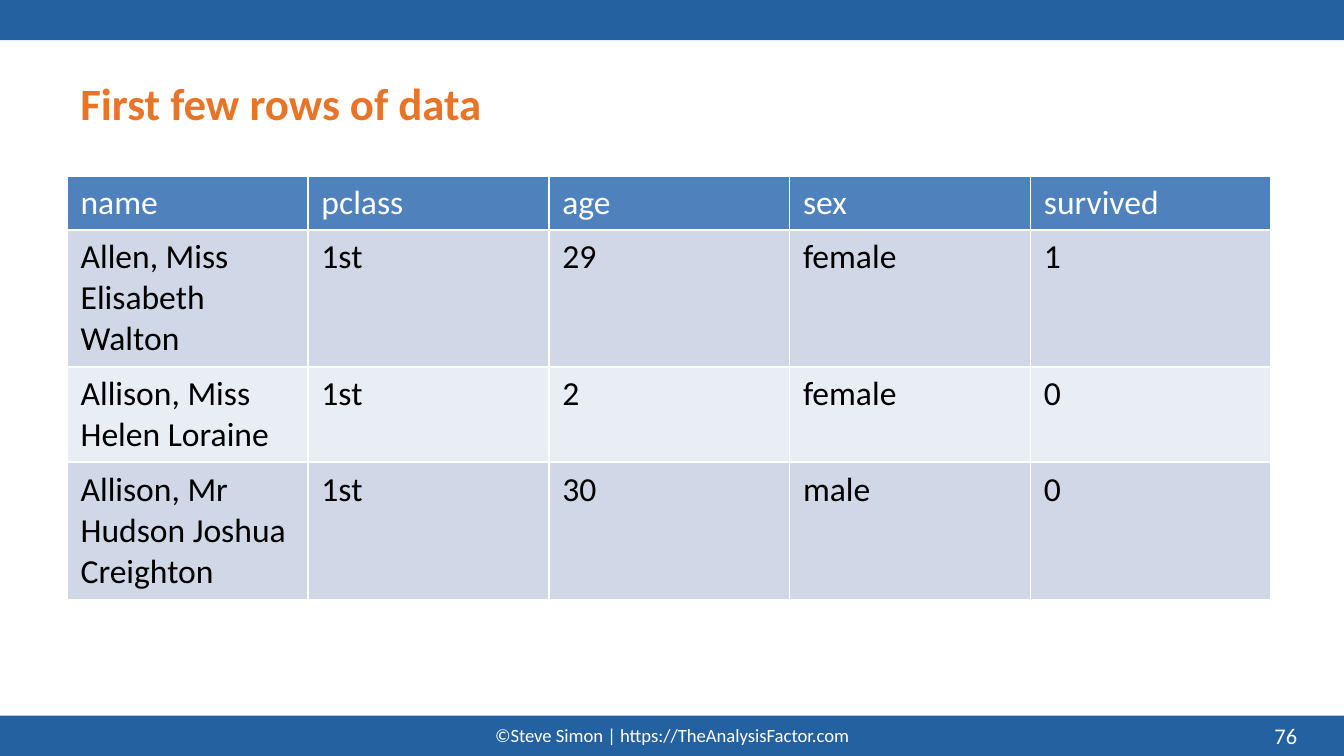
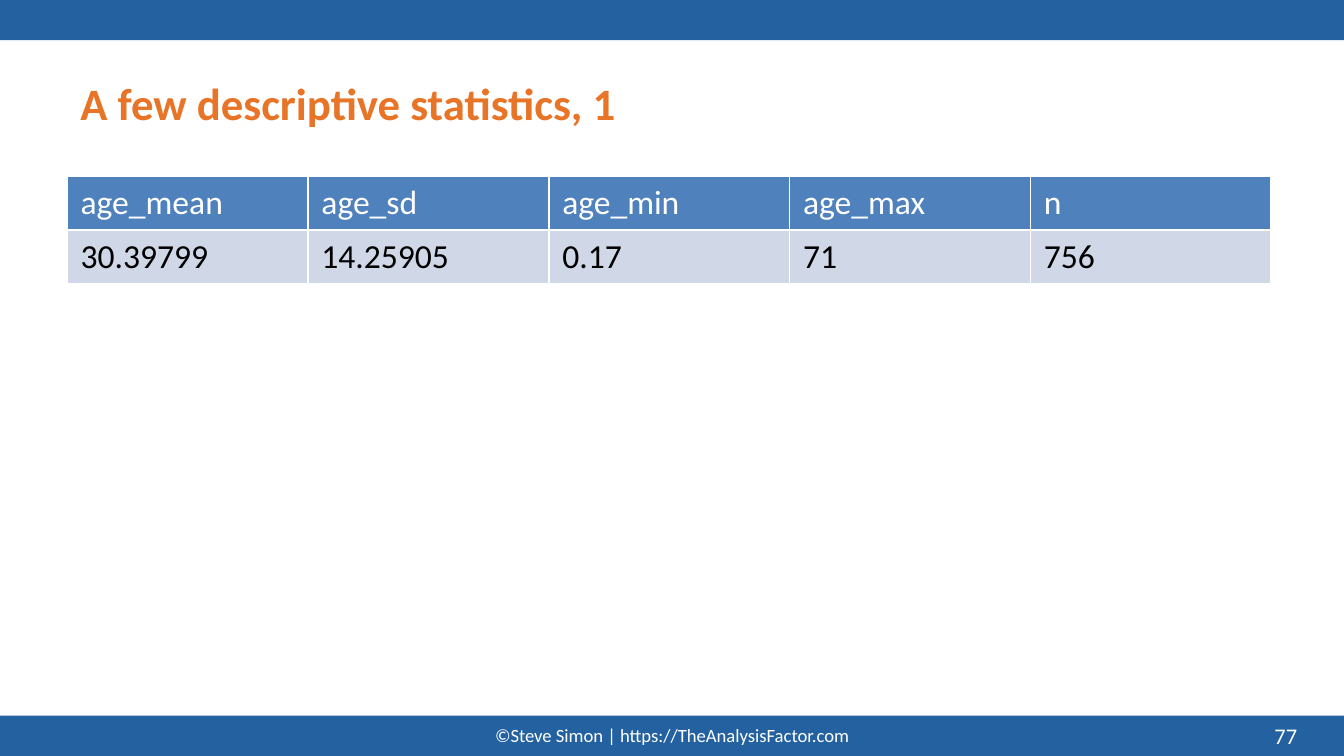
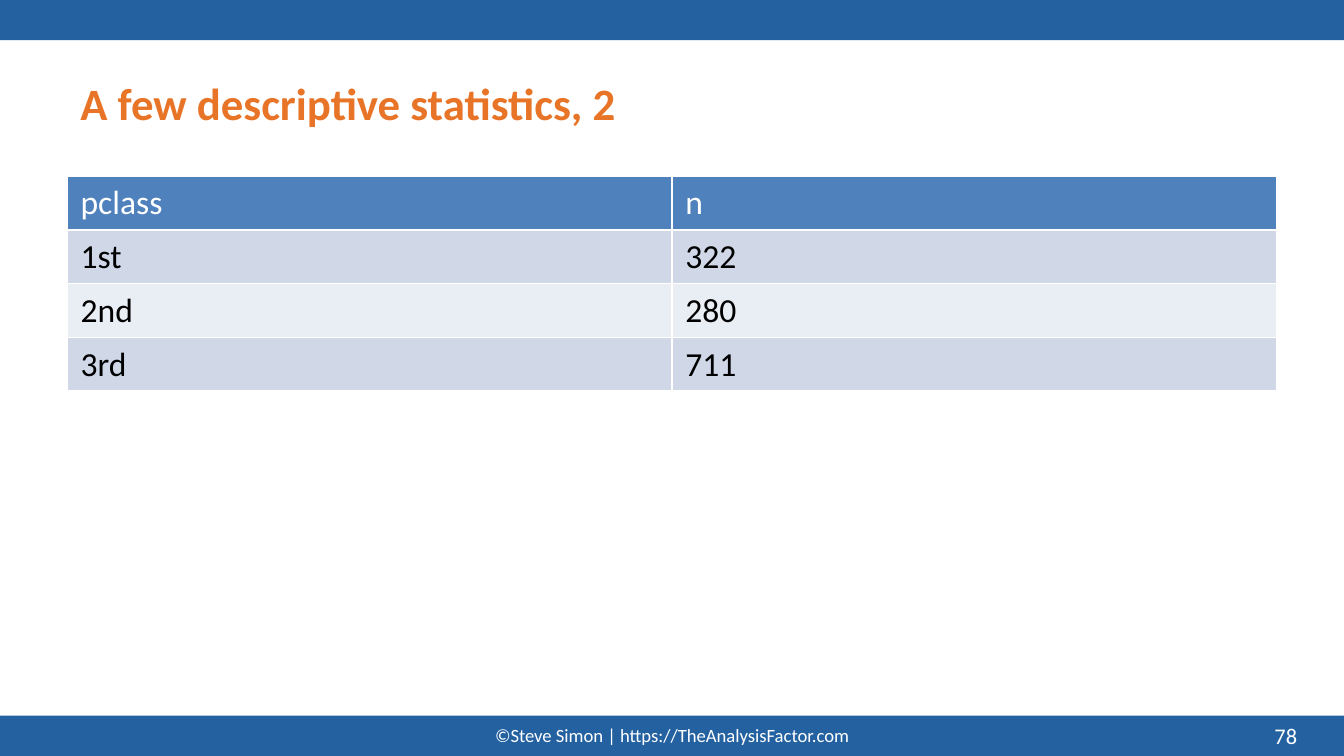
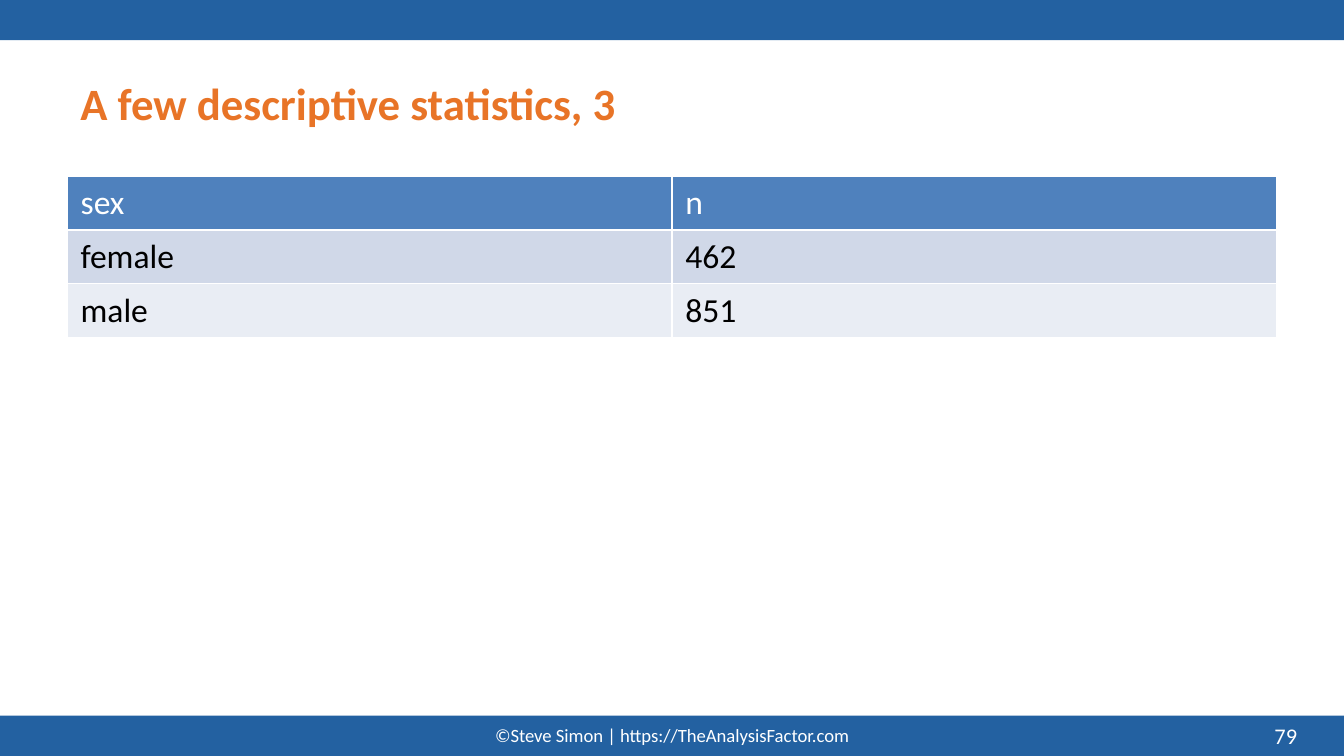
"""Build four slides of passenger data tables with shared bands, titles and footers."""
from dataclasses import dataclass

from lxml.etree import SubElement as Sub
from pptx import Presentation
from pptx.dml.color import RGBColor as Rgb
from pptx.enum.shapes import MSO_SHAPE as Shape
from pptx.enum.text import MSO_ANCHOR as Anchor, PP_ALIGN as Align
from pptx.oxml.ns import qn
from pptx.util import Inches, Pt

PAGES = [
    {"title": "First few rows of data", "wide": 8.96, "lines": (1, 3, 2, 3), "rows": [
        ("name", "pclass", "age", "sex", "survived"),
        ("Allen, Miss Elisabeth Walton", "1st", "29", "female", "1"),
        ("Allison, Miss Helen Loraine", "1st", "2", "female", "0"),
        ("Allison, Mr Hudson Joshua Creighton", "1st", "30", "male", "0")]},
    {"title": "A few descriptive statistics, 1", "wide": 8.96, "lines": (1, 1), "rows": [
        ("age_mean", "age_sd", "age_min", "age_max", "n"),
        ("30.39799", "14.25905", "0.17", "71", "756")]},
    {"title": "A few descriptive statistics, 2", "wide": 9, "lines": (1, 1, 1, 1), "rows": [
        ("pclass", "n"), ("1st", "322"), ("2nd", "280"), ("3rd", "711")]},
    {"title": "A few descriptive statistics, 3", "wide": 9, "lines": (1, 1, 1), "rows": [
        ("sex", "n"), ("female", "462"), ("male", "851")]},
]
CREDIT = "©Steve Simon | https://TheAnalysisFactor.com"
FIRST = 76
WIDE, BAND = 10, 0.3
TALL = WIDE * 9 / 16
FOOT = TALL - BAND
LEFT, TOP = 0.5, 1.31
PAD, LINE = 0.09, 0.31


@dataclass(frozen=True)
class Theme:
    font: str = "Calibri"
    band: str = "2361A1"
    title: str = "E87427"
    head: str = "4F81BD"
    odd: str = "D0D8E8"
    even: str = "E9EDF4"
    ink: str = "000000"
    white: str = "FFFFFF"
    big: int = 24
    body: int = 18
    page: int = 12
    small: int = 10
    rule: int = 1


LOOK = Theme()


def write(frame, text, size=LOOK.body, color=LOOK.ink, bold=False, align=Align.LEFT):
    para = frame.paragraphs[0]
    para.alignment = align
    run = para.add_run()
    run.text = text
    font = run.font
    font.name, font.size, font.bold = LOOK.font, Pt(size), bold
    font.color.rgb = Rgb.from_string(color)


def add_text(slide, box, text, anchor=Anchor.MIDDLE, **style):
    frame = slide.shapes.add_textbox(*map(Inches, box)).text_frame
    frame.word_wrap = True
    frame.vertical_anchor = anchor
    write(frame, text, **style)


def add_band(slide, top):
    band = slide.shapes.add_shape(Shape.RECTANGLE, *map(Inches, (0, top, WIDE, BAND)))
    band.shadow.inherit = False
    band.fill.solid()
    band.fill.fore_color.rgb = Rgb.from_string(LOOK.band)
    band.line.fill.background()


def add_rules(cell):
    props = cell._tc.get_or_add_tcPr()
    for side in "LRTB":
        rule = Sub(props, qn(f"a:ln{side}"), w=str(Pt(LOOK.rule)))
        Sub(Sub(rule, qn("a:solidFill")), qn("a:srgbClr"), val=LOOK.white)


def add_grid(slide, rows, lines, wide):
    highs = [PAD + LINE * count for count in lines]
    size = len(rows), len(rows[0])
    grid = slide.shapes.add_table(*size, *map(Inches, (LEFT, TOP, wide, sum(highs)))).table
    for col in grid.columns:
        col.width = Inches(wide / size[1])
    for r, (row, high) in enumerate(zip(rows, highs)):
        grid.rows[r].height = Inches(high)
        fill = LOOK.head if r == 0 else LOOK.odd if r % 2 else LOOK.even
        for c, text in enumerate(row):
            cell = grid.cell(r, c)
            add_rules(cell)
            cell.fill.solid()
            cell.fill.fore_color.rgb = Rgb.from_string(fill)
            write(cell.text_frame, text, color=LOOK.ink if r else LOOK.white)


def add_page(deck, number, title, **table):
    slide = deck.slides.add_slide(deck.slide_layouts[6])
    for top in (0, FOOT):
        add_band(slide, top)
    add_text(slide, (LEFT, 0.29, 9, 0.94), title,
             size=LOOK.big, color=LOOK.title, bold=True)
    add_grid(slide, **table)
    add_text(slide, (2.96, 5.34, 4.08, 0.27), CREDIT, anchor=Anchor.TOP,
             size=LOOK.small, color=LOOK.white, align=Align.CENTER)
    add_text(slide, (7.42, FOOT, 2.33, BAND), str(number),
             size=LOOK.page, color=LOOK.white, align=Align.RIGHT)


def main():
    deck = Presentation()
    deck.slide_width, deck.slide_height = Inches(WIDE), Inches(TALL)
    for number, page in enumerate(PAGES, FIRST):
        add_page(deck, number, **page)
    deck.save("out.pptx")


if __name__ == "__main__":
    main()
